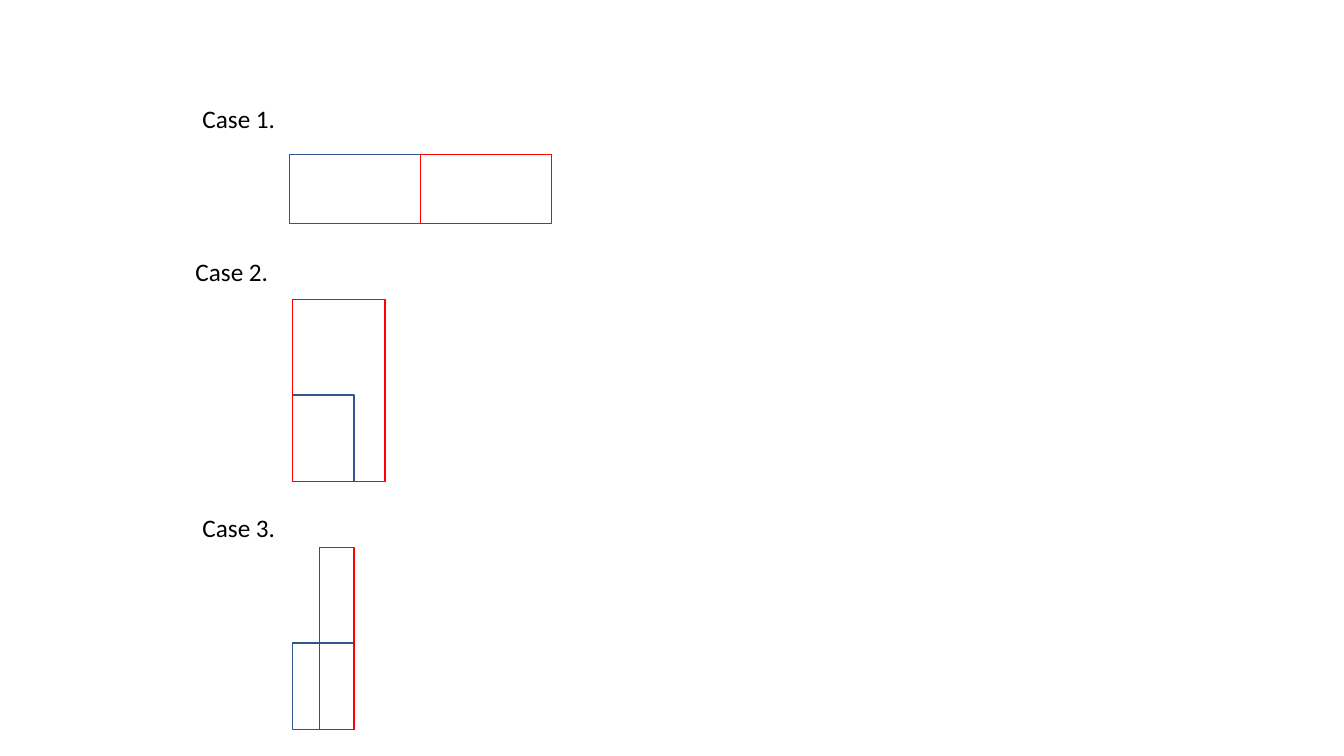
from dataclasses import dataclass

from pptx import Presentation
from pptx.dml.color import RGBColor
from pptx.enum.shapes import MSO_SHAPE
from pptx.enum.text import MSO_AUTO_SIZE
from pptx.util import Inches, Pt


@dataclass(frozen=True)
class Theme:
    blue: RGBColor = RGBColor(0x32, 0x54, 0x91)
    red: RGBColor = RGBColor(0xFF, 0x00, 0x00)
    text: RGBColor = RGBColor(0x00, 0x00, 0x00)
    font: str = "Calibri"
    size: Pt = Pt(18)
    line: Pt = Pt(1)


theme = Theme()

prs = Presentation()
prs.slide_width, prs.slide_height = Inches(13.33), Inches(7.5)
s = prs.slides.add_slide(prs.slide_layouts[6])

# Each case: label, label position, blue box, red box (left, top, width, height)
cases = [
    ("Case 1.", (1.91, 0.98), (2.87, 1.53, 1.3, 0.69), (4.17, 1.53, 1.3, 0.69)),
    ("Case 2.", (1.84, 2.49), (2.9, 3.92, 0.61, 0.86), (2.9, 2.97, 0.92, 1.81)),
    ("Case 3.", (1.91, 5.03), (2.9, 6.38, 0.61, 0.86), (3.17, 5.43, 0.34, 1.81)),
]

for label, (left, top), blue_box, red_box in cases:
    # Outlined rectangles, red in front of blue
    for box, color in ((blue_box, theme.blue), (red_box, theme.red)):
        sp = s.shapes.add_shape(MSO_SHAPE.RECTANGLE, *map(Inches, box))
        sp.shadow.inherit = False
        sp.fill.background()
        sp.line.color.rgb = color
        sp.line.width = theme.line

    # Case label
    tf = s.shapes.add_textbox(Inches(left), Inches(top), Inches(1.57), Inches(0.4)).text_frame
    tf.word_wrap = True
    tf.auto_size = MSO_AUTO_SIZE.SHAPE_TO_FIT_TEXT
    p = tf.paragraphs[0]
    p.text = label
    p.font.name = theme.font
    p.font.size = theme.size
    p.font.color.rgb = theme.text

prs.save("out.pptx")
